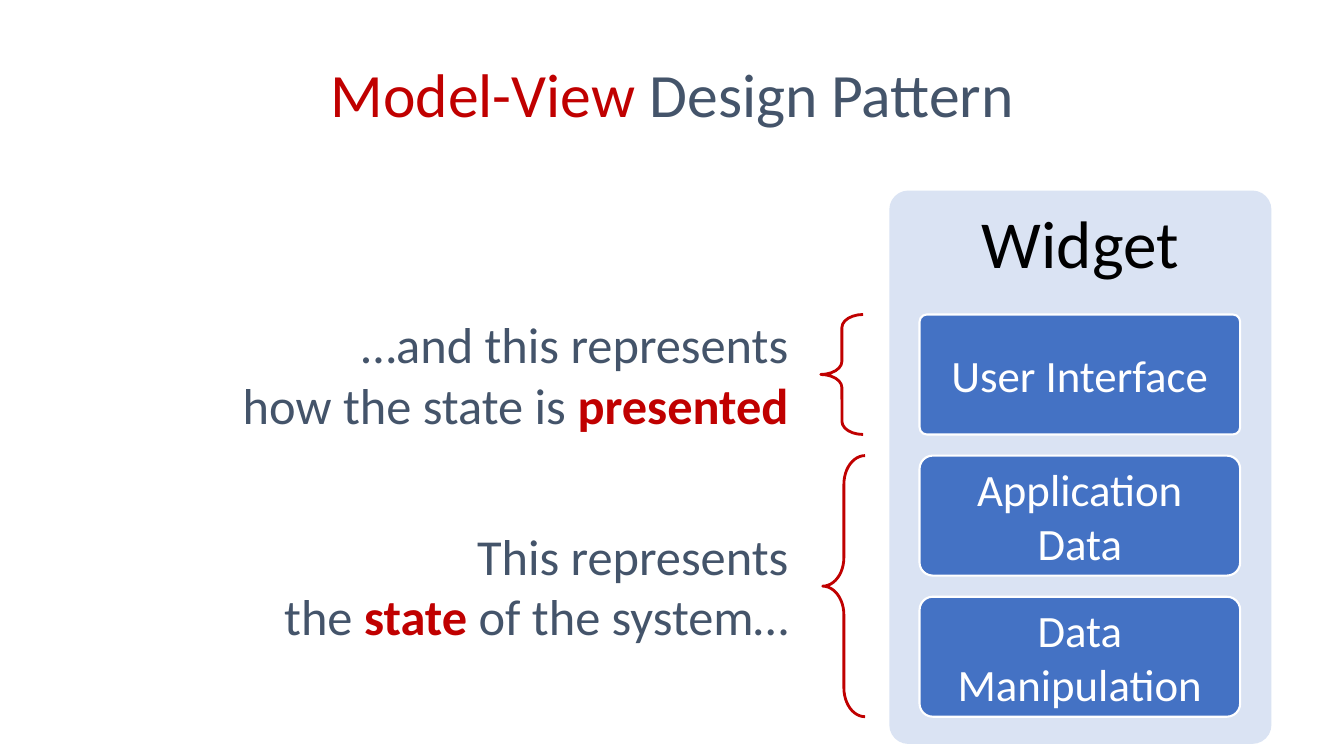
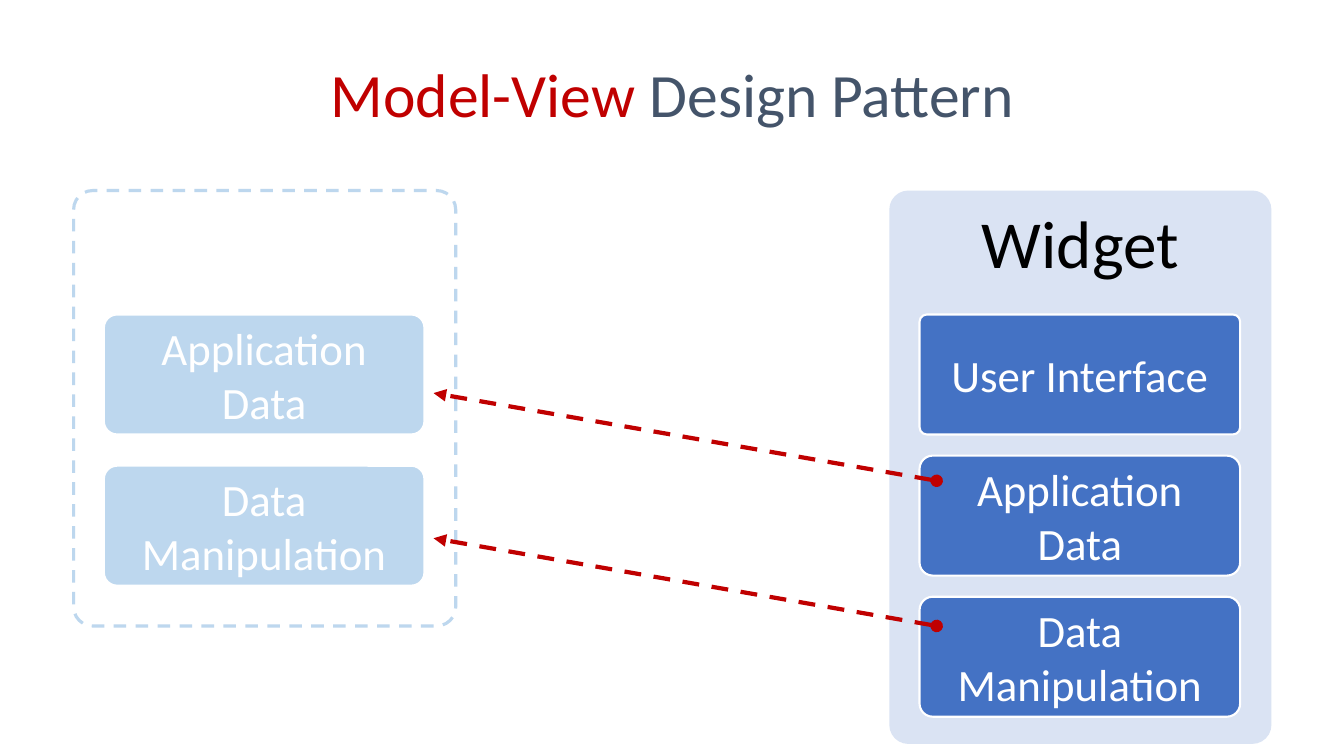
from lxml.etree import SubElement
from pptx import Presentation
from pptx.dml.color import RGBColor
from pptx.enum.dml import MSO_LINE
from pptx.enum.shapes import MSO_CONNECTOR, MSO_SHAPE
from pptx.enum.text import MSO_ANCHOR, PP_ALIGN
from pptx.oxml.ns import qn
from pptx.util import Inches, Pt

RED = "C00000"
SLATE = "44546A"
BLUE = "4472C4"
PALE_BLUE = "BDD7EE"
PANEL_BLUE = "DAE3F3"
WHITE = "FFFFFF"
BLACK = "000000"
FONT = "Calibri"

PANEL_TOP, PANEL_WIDTH = 1.89, 3.79
WIDGET_LEFT, GHOST_LEFT = 8.82, 0.73
BOX_INSET, BOX_WIDTH, BOX_HEIGHT = 0.3, 3.18, 1.19
FIRST_ROW, ROW_PITCH, GHOST_PITCH = 3.12, 1.4, 1.5
BRACE_WIDTH = 0.42
LABEL_RIGHT, LABEL_WIDTH, LABEL_HEIGHT = 7.92, 5.92, 1.31
ARROW_FROM, ARROW_TO, ARROW_RISE = 9.29, 4.3, 0.87

PARTS = ["User Interface", "Application Data", "Data Manipulation"]
TITLE = [[("Model-View", RED, False), (" Design Pattern", SLATE, False)]]
BRACES = [
    (8.16, 1, 2, 0.68, [
        [("This represents", SLATE, False)],
        [("the ", SLATE, False), ("state", RED, True), (" of the system…", SLATE, False)],
    ]),
    (8.14, 0, 1, 0.31, [
        [("…and this represents", SLATE, False)],
        [("how the state is ", SLATE, False), ("presented", RED, True)],
    ]),
]


def write(shape, lines, size, align=PP_ALIGN.CENTER, anchor=MSO_ANCHOR.MIDDLE):
    frame = shape.text_frame
    frame.word_wrap = True
    frame.vertical_anchor = anchor
    for index, line in enumerate(lines):
        paragraph = frame.add_paragraph() if index else frame.paragraphs[0]
        paragraph.alignment = align
        for text, color, bold in line:
            run = paragraph.add_run()
            run.text = text
            run.font.name = FONT
            run.font.size = Pt(size)
            run.font.bold = bold
            run.font.color.rgb = RGBColor.from_string(color)


def add_shape(shapes, kind, place, adjustment, fill=None, line=None, width=1.5):
    shape = shapes.add_shape(kind, *map(Inches, place))
    shape.shadow.inherit = False
    shape.adjustments[0] = adjustment
    if fill:
        shape.fill.solid()
        shape.fill.fore_color.rgb = RGBColor.from_string(fill)
    else:
        shape.fill.background()
    if line:
        shape.line.color.rgb = RGBColor.from_string(line)
        shape.line.width = Pt(width)
    else:
        shape.line.fill.background()
    return shape


presentation = Presentation()
presentation.slide_width = Inches(13.33)
presentation.slide_height = Inches(7.5)

for _ in range(2):
    slide = presentation.slides.add_slide(presentation.slide_layouts[6])
    title = slide.shapes.add_textbox(Inches(0.92), Inches(0.24), Inches(11.5), Inches(1.45))
    write(title, TITLE, 44)
    title.text_frame.paragraphs[0].line_spacing = 0.9

    panel = add_shape(slide.shapes, MSO_SHAPE.ROUNDED_RECTANGLE,
                      (WIDGET_LEFT, PANEL_TOP, PANEL_WIDTH, 5.49), 0.05, PANEL_BLUE)
    write(panel, [[("Widget", BLACK, False)]], 48, anchor=MSO_ANCHOR.TOP)
    for row, part in enumerate(PARTS):
        place = (WIDGET_LEFT + BOX_INSET, FIRST_ROW + row * ROW_PITCH, BOX_WIDTH, BOX_HEIGHT)
        box = add_shape(slide.shapes, MSO_SHAPE.ROUNDED_RECTANGLE, place,
                        0.11 if row else 0.06, BLUE, WHITE)
        write(box, [[(part, WHITE, False)]], 32)

explanation, reuse = presentation.slides

for left, first, count, curve, lines in BRACES:
    group = explanation.shapes.add_group_shape()
    top = FIRST_ROW + first * ROW_PITCH
    height = (count - 1) * ROW_PITCH + BOX_HEIGHT
    add_shape(group.shapes, MSO_SHAPE.LEFT_BRACE, (left, top, BRACE_WIDTH, height),
              curve, line=RED, width=2)
    label = group.shapes.add_textbox(
        Inches(LABEL_RIGHT - LABEL_WIDTH), Inches(top + (height - LABEL_HEIGHT) / 2),
        Inches(LABEL_WIDTH), Inches(LABEL_HEIGHT))
    write(label, lines, 36, PP_ALIGN.RIGHT, MSO_ANCHOR.TOP)

ghost = reuse.shapes.add_group_shape()
outline = add_shape(ghost.shapes, MSO_SHAPE.ROUNDED_RECTANGLE,
                    (GHOST_LEFT, PANEL_TOP, PANEL_WIDTH, 4.32), 0.05, line=PALE_BLUE, width=2.25)
outline.line.dash_style = MSO_LINE.DASH
for row, part in enumerate(PARTS[1:]):
    place = (GHOST_LEFT + BOX_INSET, FIRST_ROW + row * GHOST_PITCH, BOX_WIDTH, BOX_HEIGHT)
    box = add_shape(ghost.shapes, MSO_SHAPE.ROUNDED_RECTANGLE, place, 0.11, PALE_BLUE, WHITE)
    write(box, [[(part, WHITE, False)]], 32)

for start in (6.21, 4.77):
    arrow = reuse.shapes.add_connector(
        MSO_CONNECTOR.STRAIGHT, Inches(ARROW_FROM), Inches(start),
        Inches(ARROW_TO), Inches(start - ARROW_RISE))
    arrow.line.color.rgb = RGBColor.from_string(RED)
    arrow.line.width = Pt(3)
    arrow.line.dash_style = MSO_LINE.DASH
    properties = arrow.line._get_or_add_ln()
    SubElement(properties, qn("a:headEnd"), type="oval")
    SubElement(properties, qn("a:tailEnd"), type="triangle")
    SubElement(properties.getparent(), qn("a:effectLst"))

presentation.save("out.pptx")
